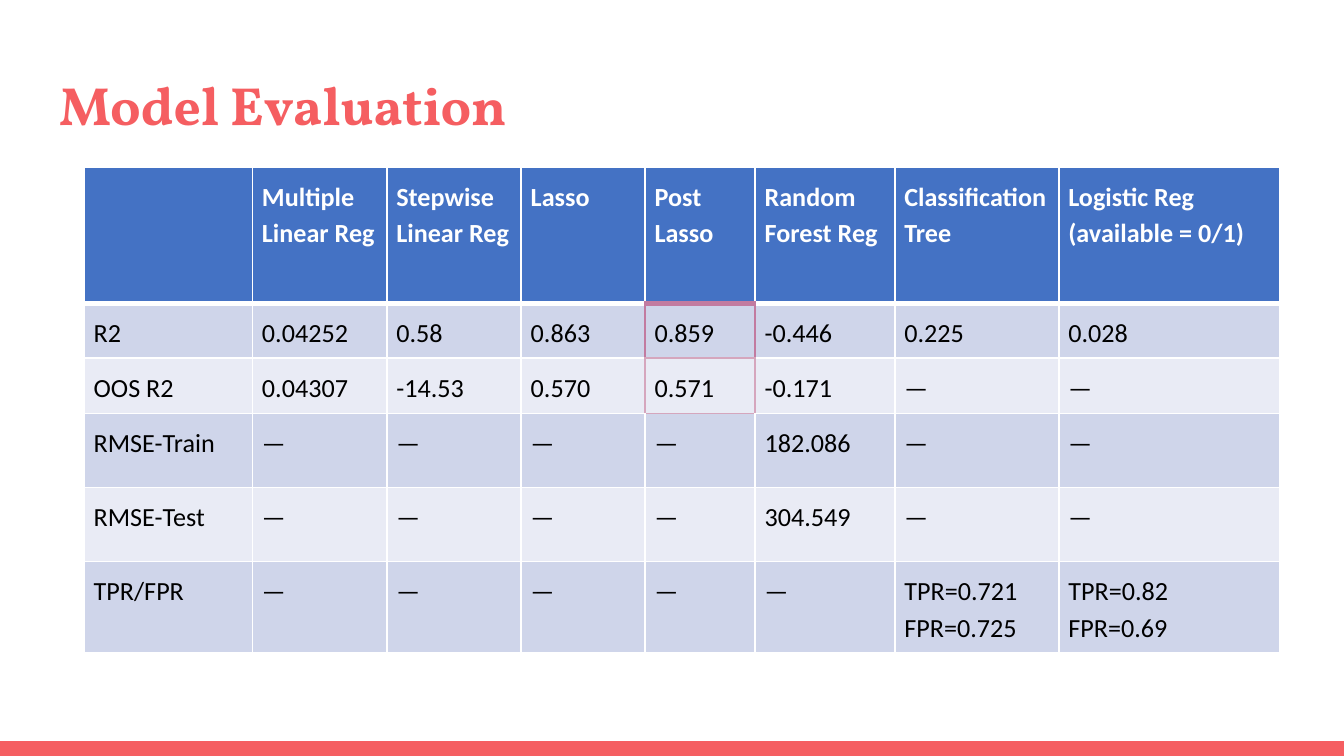
"""Build the Model Evaluation slide with its table of model scores."""
import lxml.etree
import pptx
import pptx.dml.color
import pptx.enum.shapes
import pptx.enum.text
import pptx.oxml.ns
import pptx.util

Cm = pptx.util.Cm
Pt = pptx.util.Pt
CORAL, WHITE, BLACK = "F55E61", "FFFFFF", "000000"
HEADER_BLUE, BAND_DARK, BAND_LIGHT = "4472C4", "CFD5EA", "E9EBF5"
MAUVE, PINK = "C27BA0", "D5A6BD"


def color(value):
    return pptx.dml.color.RGBColor.from_string(value)


def add_border(cell, side, value, width):
    properties = cell._tc.get_or_add_tcPr()
    line = lxml.etree.SubElement(properties, pptx.oxml.ns.qn(f"a:ln{side}"), w=str(Pt(width)))
    fill = lxml.etree.SubElement(line, pptx.oxml.ns.qn("a:solidFill"))
    lxml.etree.SubElement(fill, pptx.oxml.ns.qn("a:srgbClr"), val=value)


presentation = pptx.Presentation()
presentation.slide_width = Cm(25.4)
presentation.slide_height = Cm(14.29)
slide = presentation.slides.add_slide(presentation.slide_layouts[6])

footer_bar = slide.shapes.add_shape(
    pptx.enum.shapes.MSO_SHAPE.RECTANGLE, Cm(0), Cm(14.01), Cm(25.4), Cm(0.28))
footer_bar.shadow.inherit = False
footer_bar.fill.solid()
footer_bar.fill.fore_color.rgb = color(CORAL)
footer_bar.line.fill.background()

title = slide.shapes.add_textbox(Cm(0.87), Cm(1.1), Cm(23.67), Cm(1.72))
title_frame = title.text_frame
title_frame.word_wrap = True
title_frame.margin_left = title_frame.margin_right = Cm(0.25)
title_frame.margin_top = title_frame.margin_bottom = Cm(0.25)
run = title_frame.paragraphs[0].add_run()
run.text = "Model Evaluation"
run.font.name = "Vollkorn"
run.font.size = Pt(28.8)
run.font.bold = True
run.font.color.rgb = color(CORAL)

scores = [
    ["", "Multiple Linear Reg", "Stepwise Linear Reg", "Lasso", "Post Lasso",
     "Random Forest Reg", "Classification Tree", "Logistic Reg (available = 0/1)"],
    ["R2", "0.04252", "0.58", "0.863", "0.859", "-0.446", "0.225", "0.028"],
    ["OOS R2", "0.04307", "-14.53", "0.570", "0.571", "-0.171", "—", "—"],
    ["RMSE-Train", "—", "—", "—", "—", "182.086", "—", "—"],
    ["RMSE-Test", "—", "—", "—", "—", "304.549", "—", "—"],
    ["TPR/FPR", "—", "—", "—", "—", "—", "TPR=0.721\nFPR=0.725", "TPR=0.82\nFPR=0.69"],
]
column_widths = [3.18, 2.54, 2.54, 2.34, 2.08, 2.64, 3.1, 4.17]
row_heights = [2.57, 0.84, 0.84, 1.4, 1.4, 1.4]
horizontal_edges = {(1, 4): MAUVE, (2, 4): PINK, (3, 4): PINK}
vertical_edges = {(1, 4): MAUVE, (1, 5): MAUVE, (2, 4): PINK, (2, 5): PINK}

table = slide.shapes.add_table(
    len(row_heights), len(column_widths), Cm(1.59), Cm(3.16),
    Cm(sum(column_widths)), Cm(sum(row_heights))).table
for column, width in zip(table.columns, column_widths):
    column.width = Cm(width)
for row, height in zip(table.rows, row_heights):
    row.height = Cm(height)

for row_index, row_texts in enumerate(scores):
    is_header = row_index == 0
    band = HEADER_BLUE if is_header else BAND_DARK if row_index % 2 else BAND_LIGHT
    for column_index, text in enumerate(row_texts):
        cell = table.cell(row_index, column_index)
        cell.margin_left = cell.margin_right = Cm(0.18)
        cell.margin_top = cell.margin_bottom = Cm(0.18)
        for side, offset in (("L", 0), ("R", 1)):
            edge = (row_index, column_index + offset)
            add_border(cell, side, vertical_edges.get(edge, WHITE), 1)
        for side, offset in (("T", 0), ("B", 1)):
            edge = (row_index + offset, column_index)
            add_border(cell, side, horizontal_edges.get(edge, WHITE), 3 if edge[0] == 1 else 1)
        cell.fill.solid()
        cell.fill.fore_color.rgb = color(band)
        if not text:
            continue
        for line_index, line_text in enumerate(text.split("\n")):
            frame = cell.text_frame
            paragraph = frame.add_paragraph() if line_index else frame.paragraphs[0]
            paragraph.line_spacing = 1.15
            if not is_header:
                paragraph.alignment = pptx.enum.text.PP_ALIGN.JUSTIFY
            run = paragraph.add_run()
            run.text = line_text
            run.font.name = "Calibri"
            run.font.size = Pt(14)
            run.font.bold = is_header
            run.font.color.rgb = color(WHITE if is_header else BLACK)

presentation.save("out.pptx")
